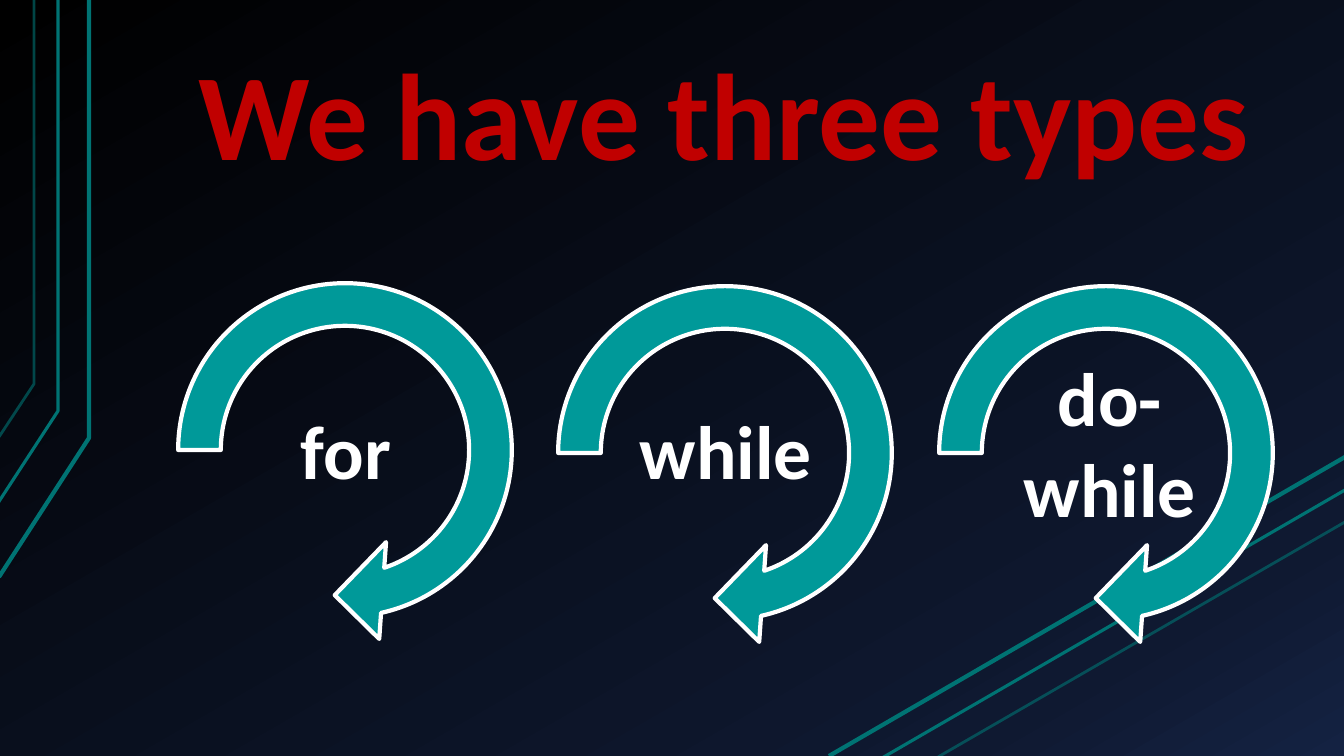
from copy import deepcopy
from dataclasses import dataclass

from lxml import etree
from pptx import Presentation
from pptx import util as u
from pptx.dml.color import RGBColor
from pptx.enum import shapes, text
from pptx.oxml.ns import qn

SCALE = 914400 / 100.8  # EMU in one px


@dataclass(frozen=True)
class Theme:
    font: str = "Calibri"
    title: str = "C00000"
    label: str = "FFFFFF"
    arrow: str = "009999"
    outline: str = "FFFFFF"
    trace: str = "007373"
    title_pt: int = 88
    label_pt: int = 54
    arrow_line_pt: int = 3
    background: tuple = ((0, "000000"), (0.85, "0F1931"), (1, "142242"))


THEME = Theme()

# Line width in pt and opacity in percent, from the strongest trace to the faintest
TRACE_STYLES = ((3, 100), (2.25, 100), (2, 60))
BENT_TRACES = (
    ((-1, 577), (89, 438), (89, 0)),
    ((-2, 503), (58, 411), (58, 0)),
    ((-1, 437), (34, 384), (34, 0)),
)
STRAIGHT_TRACES = (
    (829, 756, 1345, 457),
    (882, 758, 1345, 490),
    (938, 757, 1345, 522),
)

# Label lines, label box, left and top of the arrow
ARROW_SIZE = 388
LOOPS = (
    (("for",), (289, 399, 114, 102), (151, 256)),
    (("while",), (627, 399, 198, 102), (531, 259)),
    (("do-", "while"), (1011, 346, 198, 194), (912, 259)),
)


def px(*values):
    return [u.Emu(round(v * SCALE)) for v in values]


def rgb(value):
    return RGBColor.from_string(value)


def paint_background(s):
    fill = s.background.fill
    fill.gradient()
    fill.gradient_angle = 300
    first = fill._fill._gradFill.gsLst[0]
    first.addnext(deepcopy(first))
    for stop, (position, color) in zip(fill.gradient_stops, THEME.background):
        stop.position = position
        stop.color.rgb = rgb(color)


def style_trace(line, width, opacity):
    line.color.rgb = rgb(THEME.trace)
    line.width = u.Pt(width)
    if opacity < 100:
        color = line._ln.find(".//" + qn("a:srgbClr"))
        etree.SubElement(color, qn("a:alpha"), val=str(opacity * 1000))


def add_bent_trace(s, points, style):
    builder = s.shapes.build_freeform(*points[0], scale=SCALE)
    builder.add_line_segments(points[1:], close=False)
    sp = builder.convert_to_shape()
    sp.shadow.inherit = False
    sp.fill.background()
    style_trace(sp.line, *style)


def add_straight_trace(s, ends, style):
    cxn = s.shapes.add_connector(shapes.MSO_CONNECTOR.STRAIGHT, *px(*ends))
    style_trace(cxn.line, *style)
    etree.SubElement(cxn._element.spPr, qn("a:effectLst"))


def add_loop_arrow(s, left, top):
    sp = s.shapes.add_shape(shapes.MSO_SHAPE.CIRCULAR_ARROW,
                            *px(left, top, ARROW_SIZE, ARROW_SIZE))
    for i, value in enumerate((0.11, 11.423, 45, 108, 0.125)):
        sp.adjustments[i] = value
    sp.shadow.inherit = False
    sp.fill.solid()
    sp.fill.fore_color.rgb = rgb(THEME.arrow)
    sp.line.color.rgb = rgb(THEME.outline)
    sp.line.width = u.Pt(THEME.arrow_line_pt)


def add_text(s, box, lines, size, color, align):
    tf = s.shapes.add_textbox(*px(*box)).text_frame
    for i, line in enumerate(lines):
        p = tf.add_paragraph() if i else tf.paragraphs[0]
        p.alignment = align
        r = p.add_run()
        r.text = line
        r.font.name = THEME.font
        r.font.size = u.Pt(size)
        r.font.bold = True
        r.font.color.rgb = rgb(color)
    return tf


def add_title(s, title):
    tf = add_text(s, (186, 0, 1105, 194), [title], THEME.title_pt,
                  THEME.title, text.PP_ALIGN.LEFT)
    tf.word_wrap = True
    tf.vertical_anchor = text.MSO_ANCHOR.BOTTOM
    tf.margin_left, tf.margin_top, tf.margin_right, tf.margin_bottom = px(13, 7, 13, 7)
    tf.paragraphs[0].line_spacing = 0.9


def add_label(s, box, lines):
    tf = add_text(s, box, lines, THEME.label_pt, THEME.label, text.PP_ALIGN.CENTER)
    tf.word_wrap = False
    tf.auto_size = text.MSO_AUTO_SIZE.SHAPE_TO_FIT_TEXT


def main():
    prs = Presentation()
    prs.slide_width, prs.slide_height = px(1344, 756)
    s = prs.slides.add_slide(prs.slide_layouts[6])

    # Background and decorative traces
    paint_background(s)
    for points, style in zip(BENT_TRACES, TRACE_STYLES):
        add_bent_trace(s, points, style)
    for ends, style in zip(STRAIGHT_TRACES, TRACE_STYLES):
        add_straight_trace(s, ends, style)

    # Title
    add_title(s, "We have three types")

    # Loop arrows with their labels
    for lines, box, corner in LOOPS:
        add_loop_arrow(s, *corner)
        add_label(s, box, lines)

    prs.save("out.pptx")


if __name__ == "__main__":
    main()
